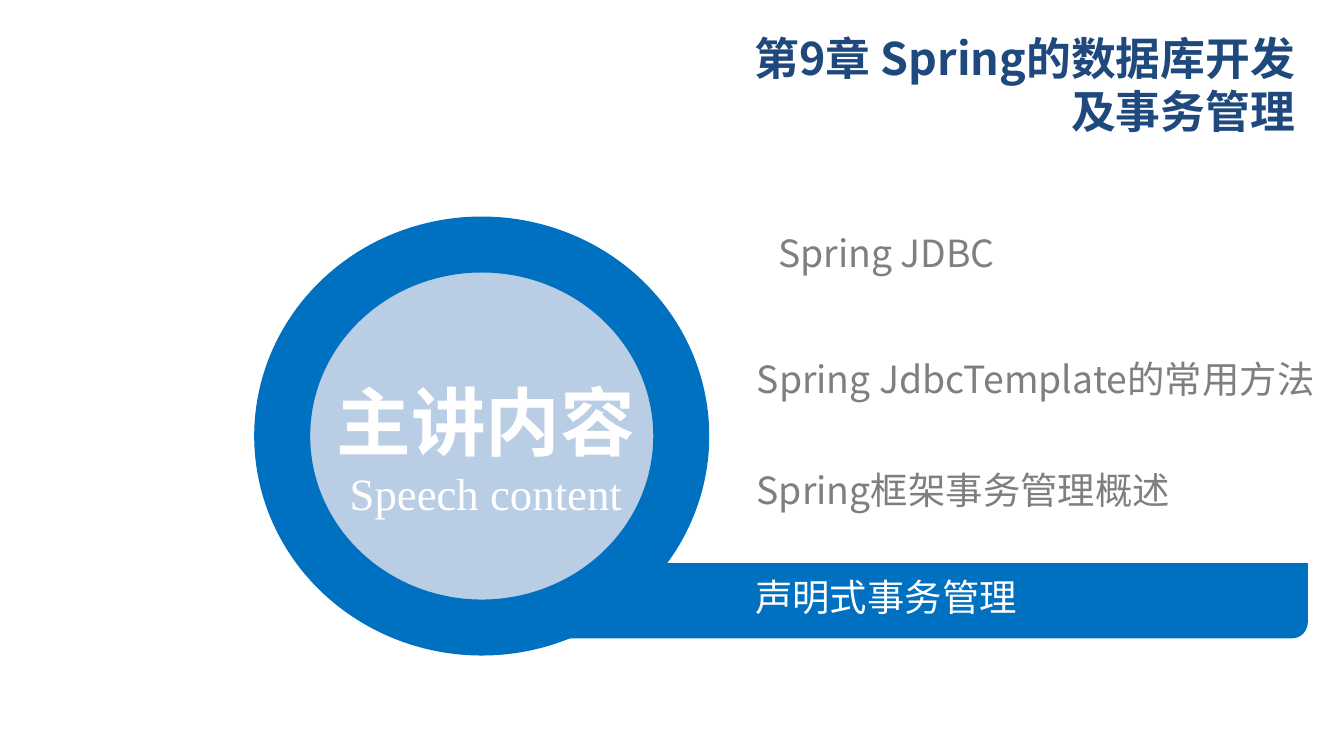
from dataclasses import dataclass

from lxml.etree import SubElement
from pptx import Presentation
from pptx.dml.color import RGBColor
from pptx.enum.shapes import MSO_SHAPE
from pptx.enum.text import MSO_ANCHOR, PP_ALIGN
from pptx.oxml.ns import qn
from pptx.util import Pt

SANS = "Noto Sans CJK SC"
SERIF = "Times New Roman"
BLUE = "0070C0"
PALE_BLUE = "B9CDE5"
NAVY = "1F497D"
GRAY = "7F7F7F"
WHITE = "FFFFFF"


@dataclass(frozen=True)
class Box:
    left: float
    top: float
    width: float
    height: float

    def lengths(self) -> tuple:
        return Pt(self.left), Pt(self.top), Pt(self.width), Pt(self.height)


@dataclass(frozen=True)
class Line:
    text: str
    size: float
    color: str
    font: str = SANS
    bold: bool = False
    align: PP_ALIGN = PP_ALIGN.LEFT
    spacing: float = 1.0


@dataclass(frozen=True)
class Topic:
    text: str
    box: Box
    color: str = GRAY


TITLE = Line("第9章 Spring的数据库开发及事务管理", 24, NAVY, bold=True, align=PP_ALIGN.RIGHT)
BADGE_LINES = [
    Line("主讲内容", 40, WHITE, bold=True, align=PP_ALIGN.CENTER, spacing=1.5),
    Line("Speech content", 24, WHITE, SERIF, align=PP_ALIGN.CENTER),
]
TOPICS = [
    Topic("Spring JDBC", Box(416.9, 123.1, 261.4, 24.5)),
    Topic("Spring JdbcTemplate的常用方法", Box(405.4, 190.8, 303.1, 24.5)),
    Topic("Spring框架事务管理概述", Box(405.4, 249.8, 261.4, 24.5)),
    Topic("声明式事务管理", Box(404.6, 307.4, 269.3, 24.5), WHITE),
]


def rgb(color: str) -> RGBColor:
    return RGBColor.from_string(color)


def add_filled(shapes, preset: MSO_SHAPE, box: Box, color: str):
    shape = shapes.add_shape(preset, *box.lengths())
    shape.shadow.inherit = False
    shape.fill.solid()
    shape.fill.fore_color.rgb = rgb(color)
    shape.line.fill.background()
    return shape


def add_text(shapes, box: Box, lines: list[Line], inset_x: float = 0, inset_y: float = 0):
    frame = shapes.add_textbox(*box.lengths()).text_frame
    frame.word_wrap = True
    frame.vertical_anchor = MSO_ANCHOR.MIDDLE
    frame.margin_left = frame.margin_right = Pt(inset_x)
    frame.margin_top = frame.margin_bottom = Pt(inset_y)
    for index, line in enumerate(lines):
        paragraph = frame.add_paragraph() if index else frame.paragraphs[0]
        run = paragraph.add_run()
        run.text = line.text
        paragraph.alignment = line.align
        paragraph.line_spacing = line.spacing
        paragraph.font.size = Pt(line.size)
        paragraph.font.bold = line.bold
        paragraph.font.name = line.font
        paragraph.font.color.rgb = rgb(line.color)
        east_asian = SubElement(run.font._element, qn("a:ea"))
        east_asian.set("typeface", line.font)


def main() -> None:
    presentation = Presentation()
    presentation.slide_width = Pt(720)
    presentation.slide_height = Pt(405)
    slide = presentation.slides.add_slide(presentation.slide_layouts[6])

    add_text(slide.shapes, Box(377.3, 22.3, 323.3, 45.4), [TITLE], 6.8, 3.4)

    bar = add_filled(
        slide.shapes, MSO_SHAPE.ROUND_2_DIAG_RECTANGLE, Box(270, 301.7, 430.6, 40.3), BLUE
    )
    bar.adjustments[0] = 0.21
    bar.adjustments[1] = 0

    badge = slide.shapes.add_group_shape()
    circle = add_filled(badge.shapes, MSO_SHAPE.OVAL, Box(151.2, 131, 213.8, 205.2), PALE_BLUE)
    circle.line.color.rgb = rgb(BLUE)
    circle.line.width = Pt(30)
    add_text(badge.shapes, Box(149.8, 175.7, 221, 104.4), BADGE_LINES, 7.2, 3.6)

    for topic in TOPICS:
        add_text(slide.shapes, topic.box, [Line(topic.text, 20, topic.color)])

    presentation.save("out.pptx")


if __name__ == "__main__":
    main()
